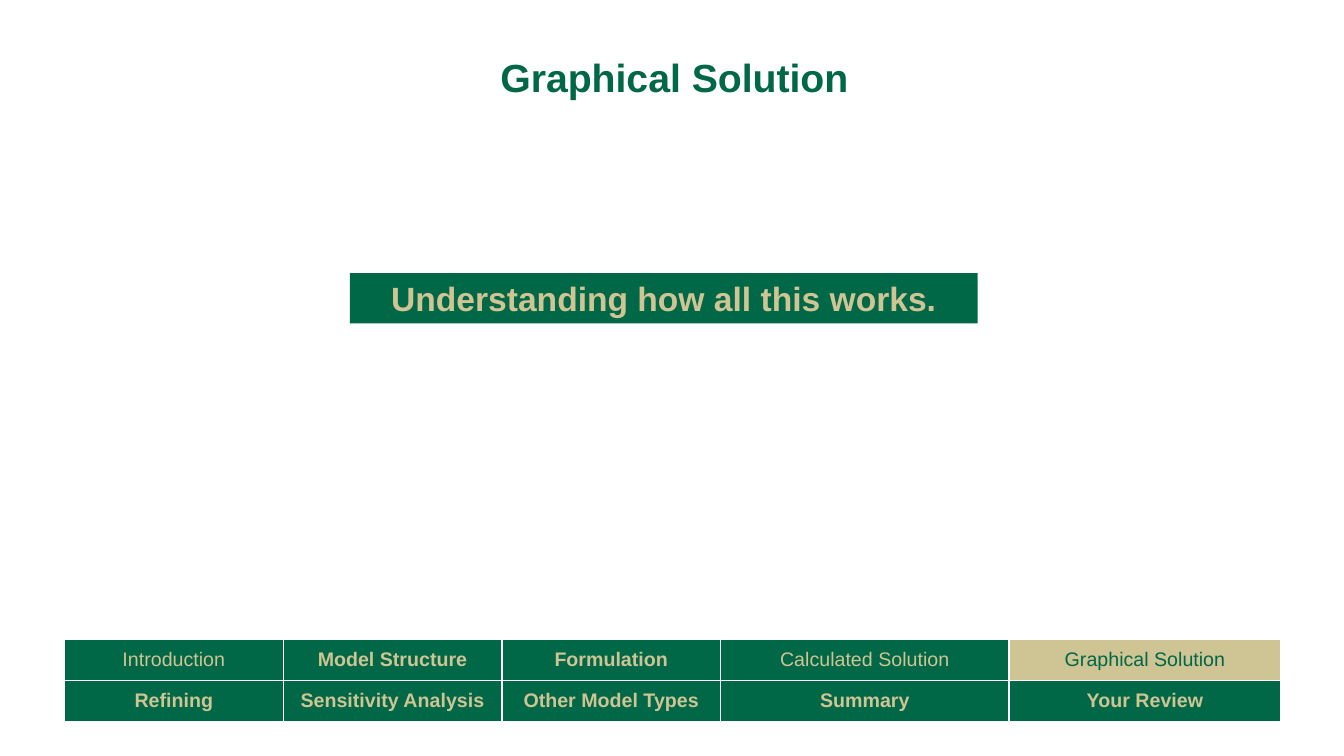
import pptx
import pptx.util
import pptx.dml.color
import pptx.enum.shapes
import pptx.enum.text
import pptx.oxml
import pptx.oxml.ns

COLORS = {"green": "006747", "gold": "CFC493", "white": "FFFFFF"}
FONT = "Arial"

# Grid of 40 columns by 30 rows over the slide
SLIDE_WIDTH = pptx.util.Inches(13.33)
SLIDE_HEIGHT = pptx.util.Inches(7.5)
COLUMN = SLIDE_WIDTH / 40
ROW = SLIDE_HEIGHT / 30

TOPIC_COLUMNS = [6.51, 6.51, 6.51, 8.58, 8.1]
TOPIC_ROW = 1.64
TOPICS = [
    ["Introduction", "Model Structure", "Formulation", "Calculated Solution", "Graphical Solution"],
    ["Refining", "Sensitivity Analysis", "Other Model Types", "Summary", "Your Review"],
]
PLAIN_TOPICS = {"Introduction", "Calculated Solution", "Graphical Solution"}
CURRENT_TOPIC = "Graphical Solution"


def color(name):
    return pptx.dml.color.RGBColor.from_string(COLORS[name])


def place(left, top, columns, rows):
    return int(left * COLUMN), int(top * ROW), int(columns * COLUMN), int(rows * ROW)


def write(text_frame, text, size, color_name, bold=True):
    paragraph = text_frame.paragraphs[0]
    paragraph.text = text
    paragraph.alignment = pptx.enum.text.PP_ALIGN.CENTER
    paragraph.font.name = FONT
    paragraph.font.size = pptx.util.Pt(size)
    paragraph.font.bold = bold
    paragraph.font.color.rgb = color(color_name)


def add_title(slide, text, position):
    text_frame = slide.shapes.add_textbox(*position).text_frame
    text_frame.word_wrap = True
    text_frame.margin_top = pptx.util.Inches(0.09)
    write(text_frame, text, 28, "green")


def add_banner(slide, text, position):
    shape = slide.shapes.add_shape(pptx.enum.shapes.MSO_SHAPE.RECTANGLE, *position)
    shape.shadow.inherit = False
    shape.fill.solid()
    shape.fill.fore_color.rgb = color("green")
    shape.line.fill.background()
    shape.text_frame.word_wrap = True
    shape.text_frame.vertical_anchor = pptx.enum.text.MSO_ANCHOR.MIDDLE
    write(shape.text_frame, text, 24, "gold")


def set_borders(cell, color_name, points):
    properties = cell._tc.get_or_add_tcPr()
    for index, side in enumerate(["lnL", "lnR", "lnT", "lnB"]):
        # Border lines come before the cell fill
        properties.insert(index, pptx.oxml.parse_xml(
            f'<a:{side} {pptx.oxml.ns.nsdecls("a")} w="{pptx.util.Pt(points)}">'
            f'<a:solidFill><a:srgbClr val="{COLORS[color_name]}"/></a:solidFill></a:{side}>'))


def add_topic_table(slide, left, top):
    position = place(left, top, sum(TOPIC_COLUMNS), TOPIC_ROW * len(TOPICS))
    table = slide.shapes.add_table(len(TOPICS), len(TOPIC_COLUMNS), *position).table
    for column, columns in zip(table.columns, TOPIC_COLUMNS):
        column.width = int(columns * COLUMN)
    for row, topics in zip(table.rows, TOPICS):
        row.height = int(TOPIC_ROW * ROW)
        for cell, topic in zip(row.cells, topics):
            fill, ink = ("gold", "green") if topic == CURRENT_TOPIC else ("green", "gold")
            cell.fill.solid()
            cell.fill.fore_color.rgb = color(fill)
            cell.vertical_anchor = pptx.enum.text.MSO_ANCHOR.MIDDLE
            write(cell.text_frame, topic, 14, ink, topic not in PLAIN_TOPICS)
            set_borders(cell, "white", 1)


def main():
    presentation = pptx.Presentation()
    presentation.slide_width = SLIDE_WIDTH
    presentation.slide_height = SLIDE_HEIGHT
    slide = presentation.slides.add_slide(presentation.slide_layouts[6])

    # Title and message
    add_title(slide, "Graphical Solution", place(7.32, 1.76, 25.5, 3))
    add_banner(slide, "Understanding how all this works.", place(10.41, 10.84, 18.69, 2))

    # Topic navigation
    add_topic_table(slide, 1.92, 25.36)

    presentation.save("out.pptx")


if __name__ == "__main__":
    main()
